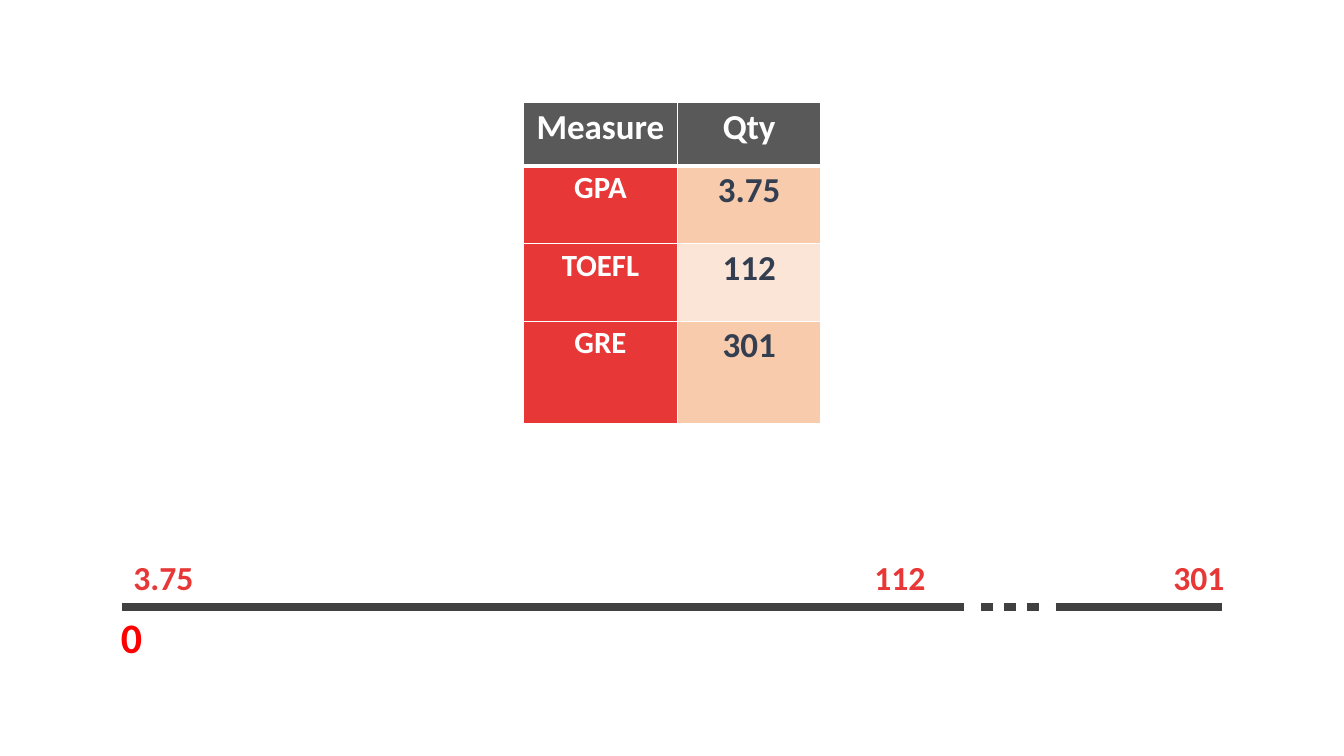
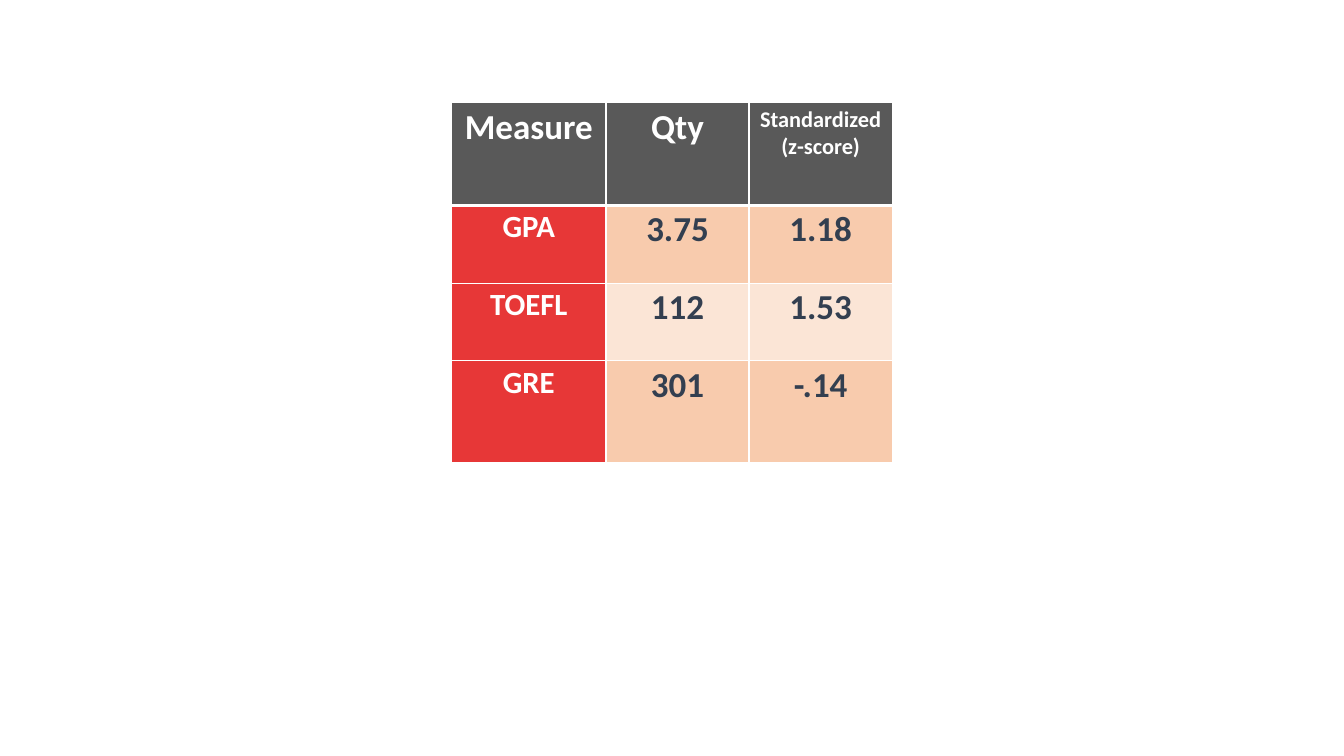
from dataclasses import dataclass

import lxml.etree
import pptx
import pptx.dml.color
import pptx.enum.shapes
import pptx.enum.text
import pptx.oxml.ns
import pptx.presentation
import pptx.slide
import pptx.table
import pptx.text.text
import pptx.util

Inches = pptx.util.Inches
qualified = pptx.oxml.ns.qn


@dataclass(frozen=True)
class Theme:
    font: str = "Calibri"
    white: str = "FFFFFF"
    header: str = "595959"
    measure: str = "E73737"
    value: str = "333F50"
    bands: tuple[str, str] = ("F8CBAD", "FBE5D6")
    axis: str = "404040"
    origin: str = "FF0000"
    table_size: int = 25
    measure_size: int = 22
    note_size: int = 16
    label_size: int = 24
    origin_size: int = 30
    axis_width: int = 6
    border_width: int = 1
    header_rule_width: int = 3


@dataclass(frozen=True)
class TextStyle:
    size: int
    color: str


@dataclass(frozen=True)
class AxisLabel:
    text: str
    left: float
    top: float
    width: float
    height: float
    style: TextStyle


@dataclass(frozen=True)
class AxisSegment:
    start: float
    end: float


@dataclass(frozen=True)
class ScoreTable:
    rows: tuple[tuple[str, ...], ...]
    header_height: float


THEME = Theme()
SLIDE_WIDTH, SLIDE_HEIGHT = 13.33, 7.5
TABLE_TOP = 1.02
MEASURE_WIDTH, VALUE_WIDTH = 1.53, 1.42
BODY_HEIGHTS = (0.77, 0.77, 1.01)
AXIS_TOP = 6.02
LABEL_TOP, LABEL_HEIGHT = 5.48, 0.5
DASH_START, DASH_STEP, DASH_LENGTH = 9.73, 0.23, 0.12

HEADER_STYLE = TextStyle(THEME.table_size, THEME.white)
NOTE_STYLE = TextStyle(THEME.note_size, THEME.white)
MEASURE_STYLE = TextStyle(THEME.measure_size, THEME.white)
VALUE_STYLE = TextStyle(THEME.table_size, THEME.value)
LABEL_STYLE = TextStyle(THEME.label_size, THEME.measure)
ORIGIN_STYLE = TextStyle(THEME.origin_size, THEME.origin)

STANDARDIZED = ("Standardized\n(z-score)", "1.18", "1.53", "-.14")
QUANTITIES = (
    ("Measure", "Qty"),
    ("GPA", "3.75"),
    ("TOEFL", "112"),
    ("GRE", "301"),
)
QUANTITY_TABLE = ScoreTable(QUANTITIES, 0.63)
STANDARDIZED_TABLE = ScoreTable(
    tuple((*row, score) for row, score in zip(QUANTITIES, STANDARDIZED)), 1.02
)

AXIS_SEGMENTS = (
    AxisSegment(1.21, 9.56),
    *(
        AxisSegment(DASH_START + index * DASH_STEP, DASH_START + index * DASH_STEP + DASH_LENGTH)
        for index in range(3)
    ),
    AxisSegment(10.47, 12.12),
)
AXIS_LABELS = (
    AxisLabel("0", 1.1, AXIS_TOP, 0.22, 0.61, ORIGIN_STYLE),
    AxisLabel("3.75", 1.21, LABEL_TOP, 0.82, LABEL_HEIGHT, LABEL_STYLE),
    AxisLabel("112", 8.57, LABEL_TOP, 0.71, LABEL_HEIGHT, LABEL_STYLE),
    AxisLabel("301", 11.38, LABEL_TOP, 1.02, LABEL_HEIGHT, LABEL_STYLE),
)


def rgb(color: str) -> pptx.dml.color.RGBColor:
    return pptx.dml.color.RGBColor.from_string(color)


def write_text(text_frame: pptx.text.text.TextFrame, text: str, style: TextStyle) -> None:
    text_frame.text = text
    for paragraph in text_frame.paragraphs:
        paragraph.alignment = pptx.enum.text.PP_ALIGN.CENTER
        for run in paragraph.runs:
            run.font.name = THEME.font
            run.font.size = pptx.util.Pt(style.size)
            run.font.bold = True
            run.font.color.rgb = rgb(style.color)


def set_borders(cell: pptx.table._Cell, top: int, bottom: int) -> None:
    properties = cell._tc.get_or_add_tcPr()
    side = THEME.border_width
    for tag, width in (("a:lnL", side), ("a:lnR", side), ("a:lnT", top), ("a:lnB", bottom)):
        border = lxml.etree.SubElement(
            properties, qualified(tag), w=str(int(pptx.util.Pt(width)))
        )
        fill = lxml.etree.SubElement(border, qualified("a:solidFill"))
        lxml.etree.SubElement(fill, qualified("a:srgbClr"), val=THEME.white)


def cell_look(row: int, column: int, text: str) -> tuple[TextStyle, str]:
    if row == 0:
        return (NOTE_STYLE if "\n" in text else HEADER_STYLE), THEME.header
    if column == 0:
        return MEASURE_STYLE, THEME.measure
    return VALUE_STYLE, THEME.bands[(row - 1) % 2]


def draw_table(slide: pptx.slide.Slide, scores: ScoreTable) -> None:
    widths = [MEASURE_WIDTH] + [VALUE_WIDTH] * (len(scores.rows[0]) - 1)
    heights = (scores.header_height, *BODY_HEIGHTS)
    shape = slide.shapes.add_table(
        len(heights),
        len(widths),
        Inches((SLIDE_WIDTH - sum(widths)) / 2),
        Inches(TABLE_TOP),
        Inches(sum(widths)),
        Inches(sum(heights)),
    )
    table = shape.table
    for column, width in zip(table.columns, widths):
        column.width = Inches(width)
    for row, height in zip(table.rows, heights):
        row.height = Inches(height)
    for row_index, row in enumerate(scores.rows):
        top = THEME.header_rule_width if row_index == 1 else THEME.border_width
        bottom = THEME.header_rule_width if row_index == 0 else THEME.border_width
        for column_index, text in enumerate(row):
            cell = table.cell(row_index, column_index)
            style, fill = cell_look(row_index, column_index, text)
            cell.margin_left = cell.margin_right = Inches(0.07)
            cell.margin_top = cell.margin_bottom = Inches(0.03)
            set_borders(cell, top, bottom)
            cell.fill.solid()
            cell.fill.fore_color.rgb = rgb(fill)
            write_text(cell.text_frame, text, style)


def draw_segment(slide: pptx.slide.Slide, segment: AxisSegment) -> None:
    connector = slide.shapes.add_connector(
        pptx.enum.shapes.MSO_CONNECTOR.STRAIGHT,
        Inches(segment.start),
        Inches(AXIS_TOP),
        Inches(segment.end),
        Inches(AXIS_TOP),
    )
    connector.line.color.rgb = rgb(THEME.axis)
    connector.line.width = pptx.util.Pt(THEME.axis_width)
    lxml.etree.SubElement(connector._element.spPr, qualified("a:effectLst"))


def draw_label(slide: pptx.slide.Slide, label: AxisLabel) -> None:
    shape = slide.shapes.add_textbox(
        Inches(label.left), Inches(label.top), Inches(label.width), Inches(label.height)
    )
    shape.text_frame.word_wrap = True
    shape.text_frame.auto_size = pptx.enum.text.MSO_AUTO_SIZE.SHAPE_TO_FIT_TEXT
    write_text(shape.text_frame, label.text, label.style)


def add_score_slide(
    presentation: pptx.presentation.Presentation, scores: ScoreTable
) -> pptx.slide.Slide:
    slide = presentation.slides.add_slide(presentation.slide_layouts.get_by_name("Blank"))
    draw_table(slide, scores)
    return slide


def main() -> None:
    presentation = pptx.Presentation()
    presentation.slide_width = Inches(SLIDE_WIDTH)
    presentation.slide_height = Inches(SLIDE_HEIGHT)

    quantity_slide = add_score_slide(presentation, QUANTITY_TABLE)
    for segment in AXIS_SEGMENTS:
        draw_segment(quantity_slide, segment)
    for label in AXIS_LABELS:
        draw_label(quantity_slide, label)

    add_score_slide(presentation, STANDARDIZED_TABLE)
    presentation.save("out.pptx")


if __name__ == "__main__":
    main()
